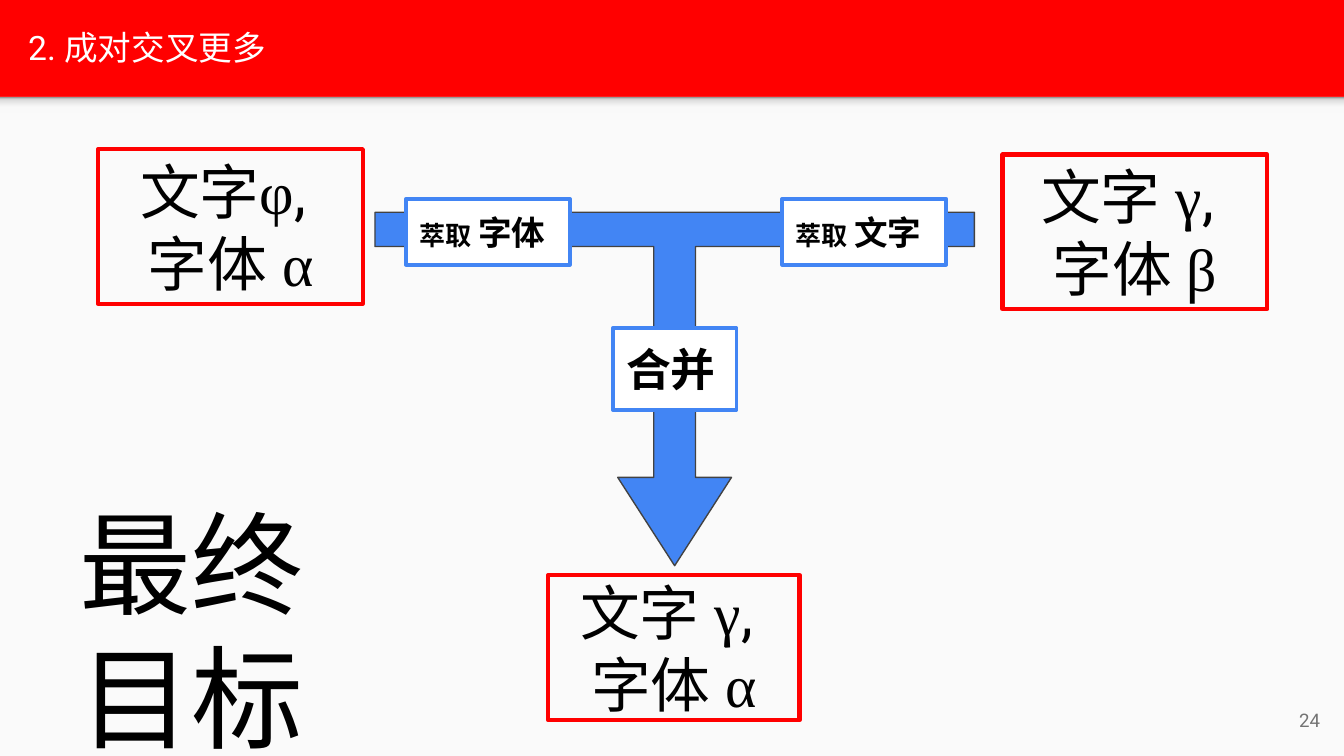
from copy import deepcopy

from lxml import etree
from pptx import Presentation
from pptx.dml.color import RGBColor
from pptx.enum.shapes import MSO_SHAPE
from pptx.enum.text import MSO_ANCHOR, PP_ALIGN
from pptx.oxml.ns import qn
from pptx.util import Inches, Pt

RECTANGLE = MSO_SHAPE.RECTANGLE
CALLOUT = MSO_SHAPE.DOWN_ARROW_CALLOUT
TOP, MIDDLE = MSO_ANCHOR.TOP, MSO_ANCHOR.MIDDLE
LEFT, CENTER, RIGHT = PP_ALIGN.LEFT, PP_ALIGN.CENTER, PP_ALIGN.RIGHT

RED = RGBColor(0xFF, 0x00, 0x00)
BLUE = RGBColor(0x42, 0x85, 0xF4)
WHITE = RGBColor(0xFF, 0xFF, 0xFF)
BLACK = RGBColor(0x00, 0x00, 0x00)
PAPER = RGBColor(0xFA, 0xFA, 0xFA)
OUTLINE = RGBColor(0x42, 0x42, 0x42)
NUMBER_GREY = RGBColor(0x73, 0x73, 0x73)
SHADE_LIGHT = RGBColor(0xF9, 0xF9, 0xF9)
SHADE_MID = RGBColor(0xDE, 0xDE, 0xDE)
SHADE_DARK = RGBColor(0x99, 0x99, 0x99)
SHADE_STOPS = [(0, SHADE_LIGHT), (0.36, SHADE_LIGHT), (0.8, SHADE_MID), (1, SHADE_DARK)]

SANS, LATIN, SERIF = "Roboto", "Arial", "Times New Roman"


def write(frame, paragraphs, size=18, color=BLACK, bold=False, align=LEFT, anchor=TOP):
    """Fill a text frame with paragraphs of (text, font, optional size) runs."""
    frame.word_wrap = True
    frame.vertical_anchor = anchor
    frame.margin_left = frame.margin_right = Inches(0.1)
    frame.margin_top = frame.margin_bottom = Inches(0.1)
    for index, runs in enumerate(paragraphs):
        paragraph = frame.add_paragraph() if index else frame.paragraphs[0]
        paragraph.alignment = align
        for text, typeface, *own_size in runs:
            run = paragraph.add_run()
            run.text = text
            run.font.size = Pt(own_size[0] if own_size else size)
            run.font.name = typeface
            run.font.bold = bold
            run.font.color.rgb = color
            etree.SubElement(run._r.get_or_add_rPr(), qn("a:ea"), typeface=typeface)


def add_block(slide, box, fill=None, line=None, width=1, kind=RECTANGLE):
    """Add a flat preset shape with an optional fill and outline."""
    block = slide.shapes.add_shape(kind, *map(Inches, box))
    block.shadow.inherit = False
    if fill is None:
        block.fill.background()
    else:
        block.fill.solid()
        block.fill.fore_color.rgb = fill
    if line is None:
        block.line.fill.background()
    else:
        block.line.color.rgb = line
        block.line.width = Pt(width)
    return block


def add_header_shade(slide):
    """Add the gradient strip that falls below the header."""
    shade = add_block(slide, (0, 0.72, 10, 0.12))
    shade.fill.gradient()
    shade.fill.gradient_angle = 90
    stop_list = shade._element.spPr.find(".//" + qn("a:gsLst"))
    while len(stop_list) < len(SHADE_STOPS):
        stop_list.append(deepcopy(stop_list[0]))
    for stop, (position, color) in zip(shade.fill.gradient_stops, SHADE_STOPS):
        stop.position = position
        stop.color.rgb = color


def add_sample(slide, box, character, letter, style):
    """Add a red frame naming a character and a font style."""
    sample = add_block(slide, box, line=RED, width=2.25)
    lines = [
        [(character, SANS), (letter, SERIF), (", ", SANS)],
        [("字体 ", SANS), (style, SERIF)],
    ]
    write(sample.text_frame, lines, size=32, align=CENTER, anchor=MIDDLE)


def add_step(slide, box, runs):
    """Add a white step label with a blue outline."""
    step = add_block(slide, box, fill=WHITE, line=BLUE, width=2)
    write(step.text_frame, [runs], bold=True)


def add_note(slide, box, text, **text_format):
    """Add a plain text box."""
    note = slide.shapes.add_textbox(*map(Inches, box))
    write(note.text_frame, [[(text, SANS)]], **text_format)


def add_title(slide):
    """Place and fill the title in the red header."""
    title = slide.shapes.title
    title.left, title.top = Inches(0.11), Inches(0.02)
    title.width, title.height = Inches(9.65), Inches(0.66)
    heading = [("2. ", SANS), ("成对交叉更多", LATIN)]
    write(title.text_frame, [heading], color=WHITE, anchor=MIDDLE)


def main():
    """Build the slide and save it."""
    deck = Presentation()
    deck.slide_width = Inches(10)
    deck.slide_height = deck.slide_width * 9 // 16
    slide = deck.slides.add_slide(deck.slide_layouts[5])
    slide.background.fill.solid()
    slide.background.fill.fore_color.rgb = RED

    add_block(slide, (0, 0.72, 10, 4.91), fill=PAPER)
    add_header_shade(slide)
    add_title(slide)

    merge_arrow = add_block(slide, (2.79, 1.58, 4.46, 2.63), BLUE, OUTLINE, 0.75, CALLOUT)
    for index, ratio in enumerate((0.118, 0.161, 0.25, 0.097)):
        merge_arrow.adjustments[index] = ratio

    add_sample(slide, (0.73, 1.11, 1.97, 1.15), "文字", "φ", "α")
    add_sample(slide, (7.46, 1.15, 1.97, 1.15), "文字 ", "γ", "β")
    add_sample(slide, (4.08, 4.28, 1.87, 1.08), "文字 ", "γ", "α")

    add_step(slide, (4.56, 2.44, 0.92, 0.61), [("合并", SANS, 24)])
    for left, extracted in ((3.02, "字体"), (5.82, "文字")):
        add_step(slide, (left, 1.48, 1.22, 0.49), [("萃取 ", SANS, 14), (extracted, SANS)])

    add_note(slide, (9.32, 5.14, 0.6, 0.43), "24", size=10, color=NUMBER_GREY,
             align=RIGHT, anchor=MIDDLE)
    add_note(slide, (0.49, 3.58, 2.04, 2.22), "最终目标", size=60)

    deck.save("out.pptx")


if __name__ == "__main__":
    main()
